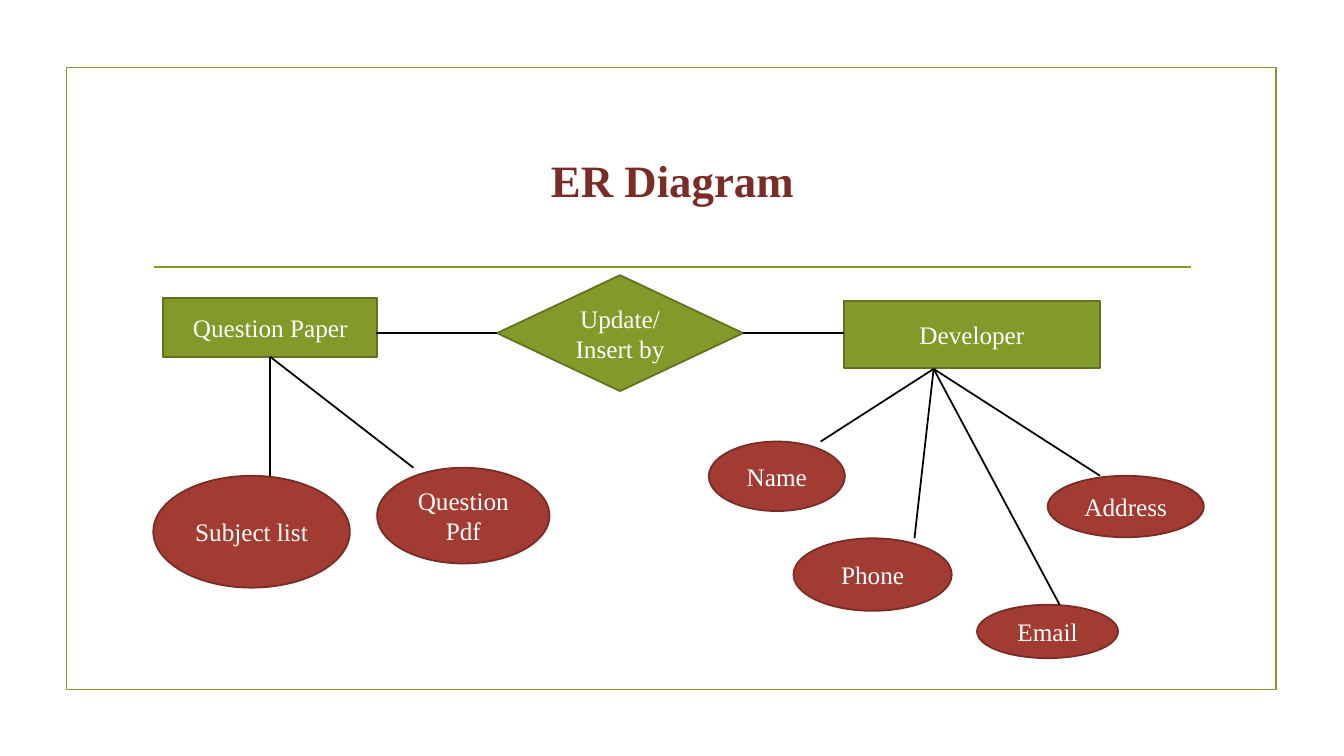
from lxml.etree import SubElement
from pptx import Presentation
from pptx.dml.color import RGBColor
from pptx.enum.shapes import MSO_CONNECTOR, MSO_SHAPE
from pptx.enum.text import MSO_ANCHOR, PP_ALIGN
from pptx.oxml.ns import qn
from pptx.util import Pt

PX = 9144  # EMU per px, 100 px to the inch
SLIDE_SIZE = (1333, 750)
FONT = "Times New Roman"
COLORS = {
    "green": "83992A", "dark_green": "61711F",
    "red": "A23C33", "dark_red": "782C26",
    "title": "7A2D26", "white": "FFFFFF", "black": "000000",
}

TITLE = ("ER Diagram", (142, 107, 1050, 143))
FRAME = (66, 67, 1200, 617)
TITLE_RULE = ((153, 265), (1181, 265))

# text, (left, top, width, height)
ENTITIES = [
    ("Question Paper", (162, 296, 212, 58)),
    ("Developer", (837, 299, 254, 66)),
]
RELATIONSHIP = ("Update/\nInsert by", (493, 273, 244, 115))
RELATION_ENDS = (373, 837)

# (point on the entity, [(text, box, x where the line meets the box top)])
ATTRIBUTES = [
    ((268, 354), [
        ("Subject list", (152, 472, 195, 111), 268),
        ("Question\nPdf", (374, 464, 171, 95), 410),
    ]),
    ((926, 366), [
        ("Name", (703, 438, 135, 69), 814),
        ("Phone", (787, 534, 157, 72), 907),
        ("Email", (969, 600, 140, 53), 1051),
        ("Address", (1039, 472, 155, 61), 1091),
    ]),
]


def rgb(name):
    return RGBColor.from_string(COLORS[name])


def emu(lengths):
    return [length * PX for length in lengths]


def write(shape, text, size, color, bold=False):
    frame = shape.text_frame
    frame.word_wrap = True
    frame.vertical_anchor = MSO_ANCHOR.MIDDLE
    frame.text = text
    for para in frame.paragraphs:
        para.alignment = PP_ALIGN.CENTER
        for span in para.runs:
            span.font.name = FONT
            span.font.size = Pt(size)
            span.font.bold = bold
            span.font.color.rgb = rgb(color)


def add_node(page, kind, box, line, fill=None, text=None):
    node = page.shapes.add_shape(kind, *emu(box))
    node.shadow.inherit = False
    node.line.color.rgb = rgb(line)
    node.line.width = Pt(1.25)
    if fill:
        node.fill.solid()
        node.fill.fore_color.rgb = rgb(fill)
    else:
        node.fill.background()
    if text:
        write(node, text, 18, "white")


def add_line(page, start, end, color="black"):
    line = page.shapes.add_connector(MSO_CONNECTOR.STRAIGHT, *emu(start + end))
    line.line.color.rgb = rgb(color)
    line.line.width = Pt(1.25)
    SubElement(line._element.spPr, qn("a:effectLst"))


def main():
    deck = Presentation()
    deck.slide_width, deck.slide_height = emu(SLIDE_SIZE)
    page = deck.slides.add_slide(deck.slide_layouts[6])

    add_node(page, MSO_SHAPE.RECTANGLE, FRAME, "green")
    add_line(page, *TITLE_RULE, color="green")
    title, title_box = TITLE
    write(page.shapes.add_textbox(*emu(title_box)), title, 32, "title", bold=True)

    for text, box in ENTITIES:
        add_node(page, MSO_SHAPE.RECTANGLE, box, "dark_green", "green", text)

    text, box = RELATIONSHIP
    add_node(page, MSO_SHAPE.FLOWCHART_DECISION, box, "dark_green", "green", text)
    left, top, width, height = box
    middle = top + height // 2
    for corner, end in zip((left, left + width), RELATION_ENDS):
        add_line(page, (corner, middle), (end, middle))

    for anchor, attributes in ATTRIBUTES:
        for text, box, meeting_x in attributes:
            add_node(page, MSO_SHAPE.OVAL, box, "dark_red", "red", text)
            add_line(page, anchor, (meeting_x, box[1]))

    deck.save("out.pptx")


if __name__ == "__main__":
    main()
